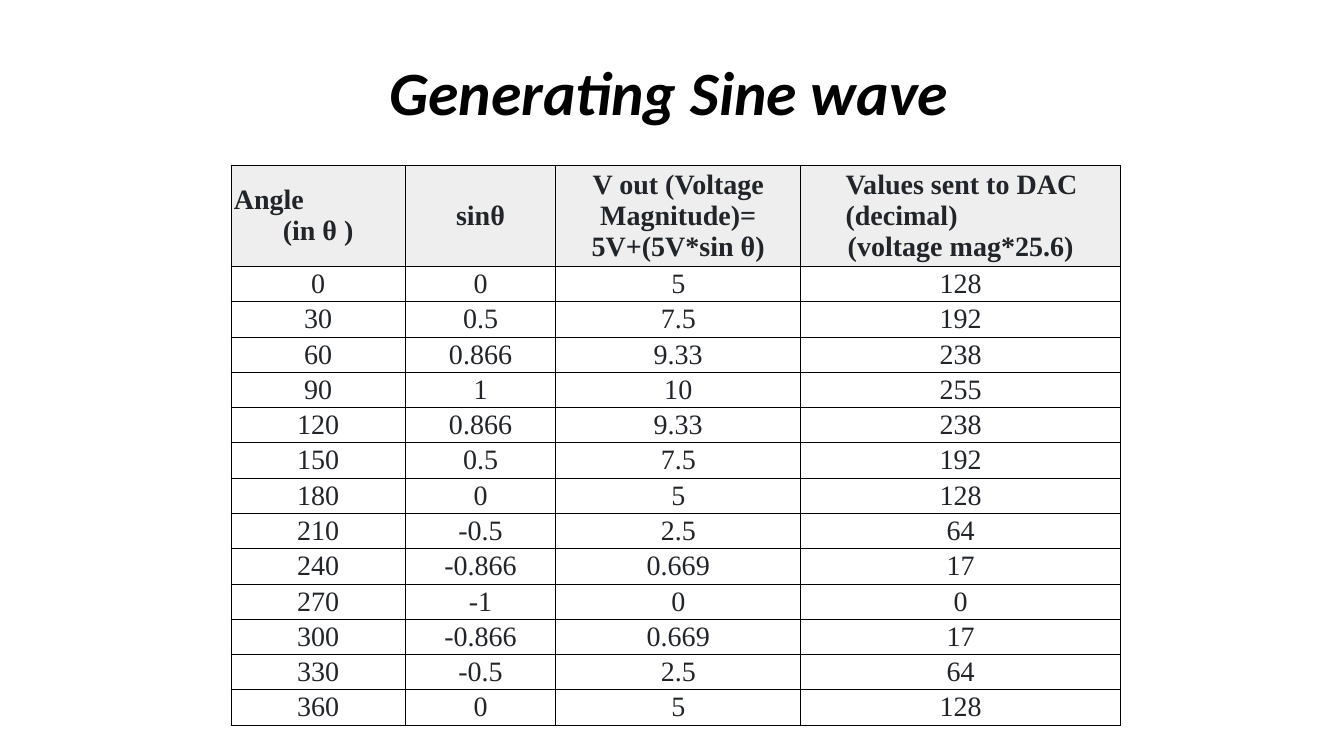
import pptx
import pptx.dml.color
import pptx.enum.text
import pptx.oxml
import pptx.oxml.ns
import pptx.util

Pt = pptx.util.Pt
ALIGN = pptx.enum.text.PP_ALIGN
MIDDLE = pptx.enum.text.MSO_ANCHOR.MIDDLE

TITLE = "Generating Sine wave"
HEADINGS = [
    [("Angle", ALIGN.LEFT, 2), ("(in θ )", ALIGN.CENTER, 0)],
    [("sinθ", ALIGN.CENTER, 0)],
    [("V out\u00a0(Voltage Magnitude)= 5V+(5V*sin θ)".replace("\u00a0", " "), ALIGN.CENTER, 0)],
    [("Values sent to DAC (decimal)", ALIGN.LEFT, 32), ("(voltage mag*25.6)", ALIGN.CENTER, 0)],
]
READINGS = [
    ("0", "0", "5", "128"),
    ("30", "0.5", "7.5", "192"),
    ("60", "0.866", "9.33", "238"),
    ("90", "1", "10", "255"),
    ("120", "0.866", "9.33", "238"),
    ("150", "0.5", "7.5", "192"),
    ("180", "0", "5", "128"),
    ("210", "-0.5", "2.5", "64"),
    ("240", "-0.866", "0.669", "17"),
    ("270", "-1", "0", "0"),
    ("300", "-0.866", "0.669", "17"),
    ("330", "-0.5", "2.5", "64"),
    ("360", "0", "5", "128"),
]
COLUMN_WIDTHS = [124.5, 107.5, 175, 228.5]
HEADING_HEIGHT, READING_HEIGHT = 72, 25.2
TABLE_LEFT, TABLE_TOP = 165, 118.2


def color(value):
    return pptx.dml.color.RGBColor.from_string(value)


def style(run, font, size, value, bold, italic=False):
    run.font.name = font
    run.font.size = Pt(size)
    run.font.color.rgb = color(value)
    run.font.bold = bold
    run.font.italic = italic


def add_borders(cell):
    properties = cell._tc.get_or_add_tcPr()
    for index, side in enumerate(("lnL", "lnR", "lnT", "lnB")):
        border = pptx.oxml.parse_xml(
            f'<a:{side} {pptx.oxml.ns.nsdecls("a")} w="{Pt(0.5)}">'
            f'<a:solidFill><a:srgbClr val="000000"/></a:solidFill></a:{side}>')
        properties.insert(index, border)


def fill_cell(cell, lines, fill, bold):
    cell.margin_left = cell.margin_right = cell.margin_top = cell.margin_bottom = 0
    cell.vertical_anchor = MIDDLE
    cell.fill.solid()
    cell.fill.fore_color.rgb = color(fill)
    add_borders(cell)
    cell.text_frame.text = "\n".join(text for text, _, _ in lines)
    for paragraph, (_, alignment, indent) in zip(cell.text_frame.paragraphs, lines):
        paragraph.alignment = alignment
        if indent:
            paragraph._p.get_or_add_pPr().set("marL", str(Pt(indent)))
        for run in paragraph.runs:
            style(run, "Times New Roman", 20, "212529", bold)


def add_title(slide):
    title = slide.shapes.add_textbox(Pt(154), Pt(34), Pt(648), Pt(68.4)).text_frame
    title.word_wrap = True
    title.vertical_anchor = MIDDLE
    title.text = TITLE
    heading = title.paragraphs[0]
    heading.alignment = ALIGN.CENTER
    heading.line_spacing = 0.9
    style(heading.runs[0], "Calibri", 44, "000000", True, True)


def add_sine_table(slide):
    height = HEADING_HEIGHT + READING_HEIGHT * len(READINGS)
    sine_table = slide.shapes.add_table(
        len(READINGS) + 1, len(HEADINGS),
        Pt(TABLE_LEFT), Pt(TABLE_TOP), Pt(sum(COLUMN_WIDTHS)), Pt(height)).table
    sine_table.first_row = sine_table.horz_banding = False
    for column, width in zip(sine_table.columns, COLUMN_WIDTHS):
        column.width = Pt(width)
    for index, row in enumerate(sine_table.rows):
        row.height = Pt(READING_HEIGHT if index else HEADING_HEIGHT)
    for column, lines in enumerate(HEADINGS):
        fill_cell(sine_table.cell(0, column), lines, "EEEEEE", True)
    for row, reading in enumerate(READINGS, 1):
        for column, value in enumerate(reading):
            fill_cell(sine_table.cell(row, column), [(value, ALIGN.CENTER, 0)], "FFFFFF", False)


def main():
    deck = pptx.Presentation()
    deck.slide_width, deck.slide_height = Pt(960), Pt(540)
    slide = deck.slides.add_slide(deck.slide_layouts[6])
    add_title(slide)
    add_sine_table(slide)
    deck.save("out.pptx")


if __name__ == "__main__":
    main()
